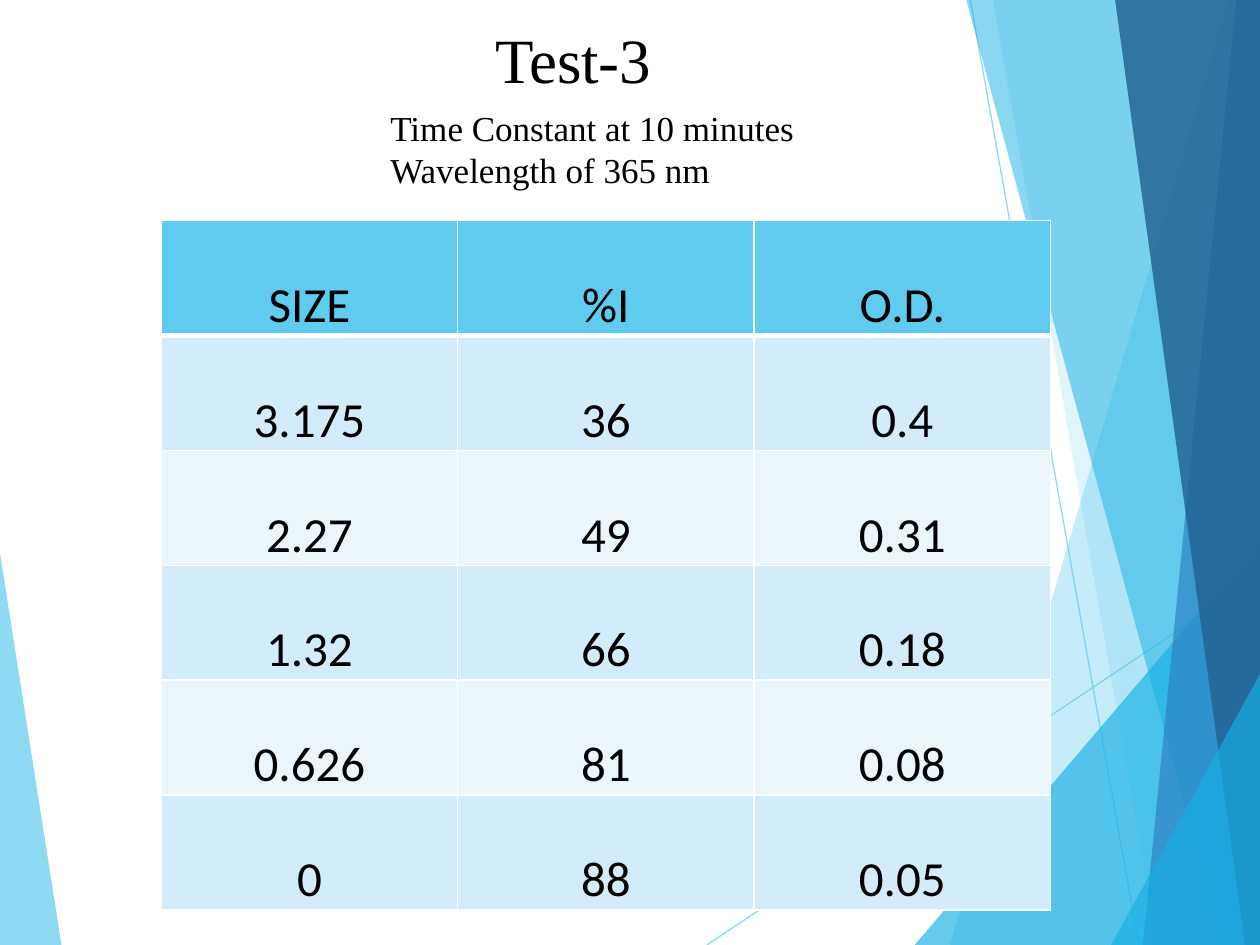
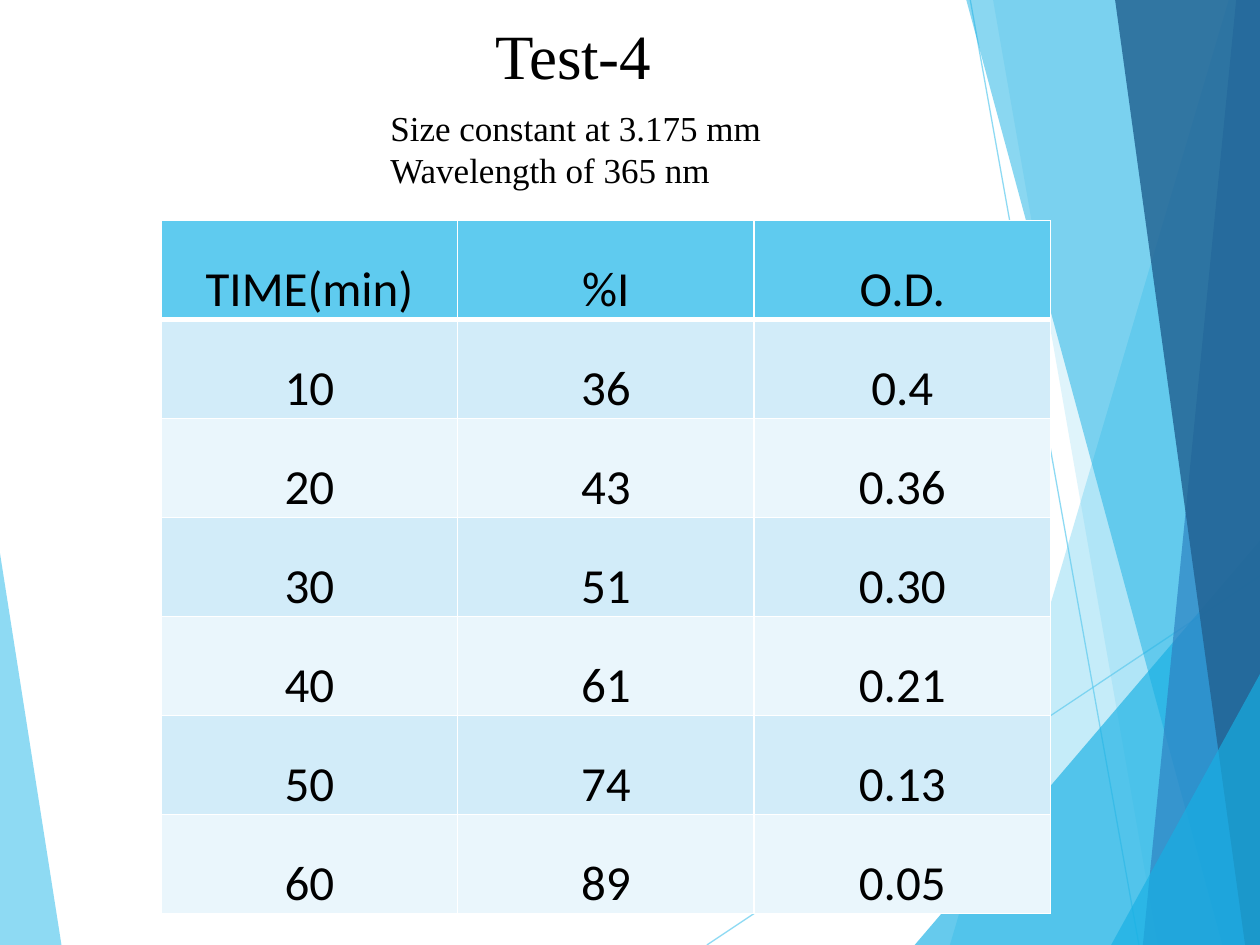
from dataclasses import dataclass

from lxml import etree
from pptx import Presentation
from pptx import util as u
from pptx.dml.color import RGBColor
from pptx.enum import shapes, text
from pptx.oxml import ns

W, H = 25.4, 19.05
RIGHT_SIDE = [(W, H), (W, 0)]
BOTTOM_RIGHT = [(W, H)]


@dataclass(frozen=True)
class Theme:
    sky: str = "5FCBEF"
    azure: str = "17B0E4"
    blue: str = "2E83C3"
    navy: str = "226292"
    bands: tuple = ("D2ECF9", "EAF6FC")
    ink: str = "000000"
    white: str = "FFFFFF"
    heading_font: str = "Times New Roman"
    table_font: str = "Calibri"
    title_size: int = 36
    note_size: int = 20
    table_size: int = 28
    line: float = 0.75
    border: float = 1
    header_rule: float = 3


class Deck:
    """Builds slides that share one theme and one faceted backdrop."""

    def __init__(self, theme):
        self.theme = theme
        self.prs = Presentation()
        self.prs.slide_width, self.prs.slide_height = u.Cm(W), u.Cm(H)
        self.s = None

    def paint(self, fill, color, opacity=100):
        fill.solid()
        fill.fore_color.rgb = RGBColor.from_string(color)
        if opacity < 100:
            clr = fill._xPr.find(".//" + ns.qn("a:srgbClr"))
            etree.SubElement(clr, ns.qn("a:alpha"), val=str(opacity * 1000))

    def style(self, p, font, size):
        p.font.name, p.font.size, p.font.bold = font, u.Pt(size), False
        p.font.color.rgb = RGBColor.from_string(self.theme.ink)

    def facet(self, points, color, opacity):
        start, *rest = [(u.Cm(x), u.Cm(y)) for x, y in points]
        builder = self.s.shapes.build_freeform(*start)
        builder.add_line_segments(rest, close=True)
        sp = builder.convert_to_shape()
        sp.shadow.inherit = False
        sp.line.fill.background()
        self.paint(sp.fill, color, opacity)

    def ray(self, *ends):
        ln = self.s.shapes.add_connector(
            shapes.MSO_CONNECTOR.STRAIGHT, *[u.Cm(v) for v in ends])
        ln.line.width = u.Pt(self.theme.line)
        self.paint(ln.line.fill, self.theme.sky, 70)
        etree.SubElement(ln._element.spPr, ns.qn("a:effectLst"))

    def backdrop(self):
        t = self.theme
        self.facet([(0, 11.15), (1.24, H), (0, H)], t.sky, 70)
        self.ray(14.25, H, W, 11.61)
        self.ray(19.56, 0, 22.96, H)
        for edge, corners, color, opacity in (
            ([(24.77, 0), (19.15, H)], RIGHT_SIDE, t.sky, 36),
            ([(20.02, 0), (23.34, H)], RIGHT_SIDE, t.sky, 20),
            ([(18.44, H), (W, 10.9)], BOTTOM_RIGHT, t.azure, 66),
            ([(19.48, 0), (24.64, H)], RIGHT_SIDE, t.azure, 50),
            ([(24.92, 0), (23.04, H)], RIGHT_SIDE, t.blue, 70),
            ([(22.48, 0), (25.1, H)], RIGHT_SIDE, t.navy, 82),
            ([(22.4, H), (W, 13.59)], BOTTOM_RIGHT, t.azure, 66),
        ):
            self.facet(edge + corners, color, opacity)

    def slide(self):
        self.s = self.prs.slides.add_slide(self.prs.slide_layouts[6])
        self.backdrop()

    def text(self, lines, box, size):
        tf = self.s.shapes.add_textbox(*[u.Cm(v) for v in box]).text_frame
        tf.word_wrap = True
        tf.auto_size = text.MSO_AUTO_SIZE.SHAPE_TO_FIT_TEXT
        tf.text = "\n".join(lines)
        for p in tf.paragraphs:
            self.style(p, self.theme.heading_font, size)

    def borders(self, cell, row):
        t = self.theme
        widths = dict.fromkeys(("lnL", "lnR", "lnT", "lnB"), t.border)
        if row < 2:
            widths["lnT" if row else "lnB"] = t.header_rule
        tc_pr = cell._tc.get_or_add_tcPr()
        for side, width in widths.items():
            ln = etree.SubElement(tc_pr, ns.qn("a:" + side), w=str(u.Pt(width)))
            fill = etree.SubElement(ln, ns.qn("a:solidFill"))
            etree.SubElement(fill, ns.qn("a:srgbClr"), val=t.white)

    def cell(self, cell, value, row, col):
        t = self.theme
        self.borders(cell, row)
        self.paint(cell.fill, t.bands[(row - 1) % 2] if row else t.sky)
        tight = row == 0 or col == 0
        cell.margin_left = cell.margin_right = u.Cm(0.03 if tight else 0.18)
        cell.margin_top = u.Cm(0.03 if tight else 0)
        cell.margin_bottom = 0
        cell.vertical_anchor = text.MSO_ANCHOR.BOTTOM
        cell.text = value
        p = cell.text_frame.paragraphs[0]
        p.alignment = text.PP_ALIGN.CENTER
        self.style(p, t.table_font, t.table_size)

    def table(self, rows, height):
        frame = self.s.shapes.add_table(
            len(rows), len(rows[0]),
            u.Cm(3.25), u.Cm(4.45), u.Cm(17.93), u.Cm(height))
        tbl = frame.table
        tbl.first_row = tbl.horz_banding = False
        for i, row in enumerate(rows):
            for j, value in enumerate(row):
                self.cell(tbl.cell(i, j), value, i, j)

    def test_slide(self, title, title_top, conditions, rows, table_height):
        self.slide()
        self.table(rows, table_height)
        self.text([title], (9.73, title_top, 15.6, 1.8), self.theme.title_size)
        self.text(conditions, (7.62, 2.03, 12.5, 1.96), self.theme.note_size)


def main():
    deck = Deck(Theme())
    wavelength = "Wavelength of 365 nm"
    deck.test_slide(
        "Test-3", 0.28, ["Time Constant at 10 minutes", wavelength],
        [("SIZE", "%I", "O.D."),
         ("3.175", "36", "0.4"),
         ("2.27", "49", "0.31"),
         ("1.32", "66", "0.18"),
         ("0.626", "81", "0.08"),
         ("0", "88", "0.05")], 13.89)
    deck.test_slide(
        "Test-4", 0.2, ["Size constant at 3.175 mm", wavelength],
        [("TIME(min)", "%I", "O.D."),
         ("10", "36", "0.4"),
         ("20", "43", "0.36"),
         ("30", "51", "0.30"),
         ("40", "61", "0.21"),
         ("50", "74", "0.13"),
         ("60", "89", "0.05")], 13.97)
    deck.prs.save("out.pptx")


if __name__ == "__main__":
    main()
